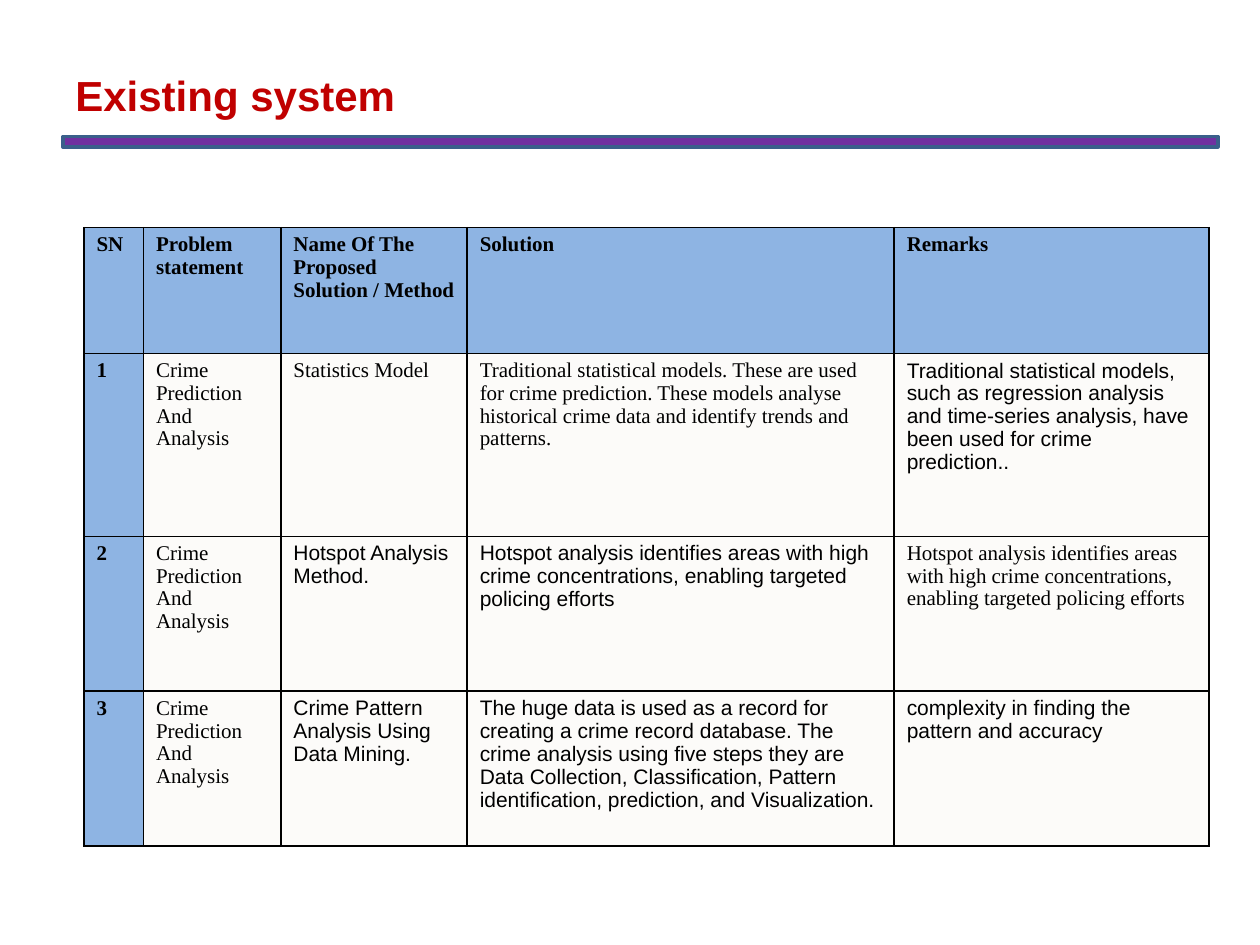
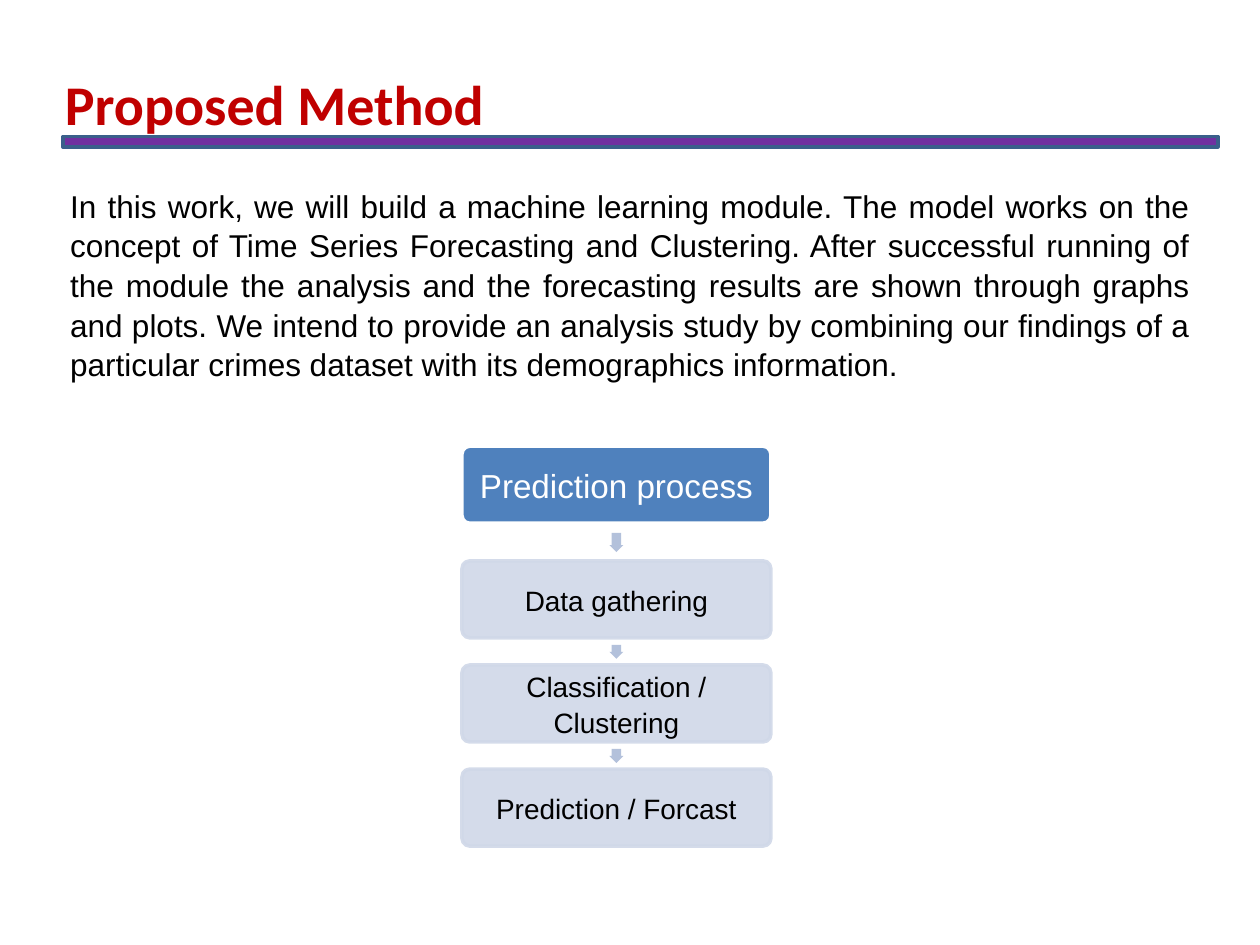
from pptx import Presentation
from pptx.dml.color import RGBColor
from pptx.enum import shapes, text
from pptx.oxml import parse_xml, ns
from pptx.util import Pt

KIND = shapes.MSO_SHAPE
RED, BLACK, WHITE = "C00000", "000000", "FFFFFF"
BLUE, CREAM = "8EB4E3", "FCFBF9"
PALE, STEEL, ARROW = "D0D8E8", "4F81BD", "B3C1DB"
SANS, SERIF = "Arial", "Times New Roman"


def rgb(code):
    return RGBColor.from_string(code)


def put(frame, words, face, size, color, bold=False, **form):
    frame.word_wrap = True
    frame.text = words
    for para in frame.paragraphs:
        for key, val in form.items():
            setattr(para, key, val)
        look = {"name": face, "size": Pt(size), "bold": bold}
        for key, val in look.items():
            setattr(para.runs[0].font, key, val)
        para.runs[0].font.color.rgb = rgb(color)


deck = Presentation()
deck.slide_width, deck.slide_height = Pt(720), Pt(540)

heads = [
    ("Existing system", SANS, 24, (36, 36, 660, 45)),
    ("Proposed Method", "Calibri", 32, (30, 36, 426, 46)),
]
pages = []
for words, face, size, area in heads:
    page = deck.slides.add_slide(deck.slide_layouts[6])
    band = page.shapes.add_shape(KIND.RECTANGLE, *map(Pt, (36, 78, 660, 6)))
    band.shadow.inherit = False
    band.fill.solid()
    band.fill.fore_color.rgb = rgb("7030A0")
    band.line.color.rgb = rgb("3A5F8B")
    band.line.width = Pt(2)
    title = page.shapes.add_textbox(*map(Pt, area))
    put(title.text_frame, words, face, size, RED, True)
    pages.append(page)

first, second = pages

crime = "Crime Prediction\nAnd Analysis"
hot = ("Hotspot analysis identifies areas with high crime concentrations, "
       "enabling targeted policing efforts")
rows = [
    ["SN", "Problem\nstatement", "Name Of The Proposed\nSolution / Method",
     "Solution", "Remarks"],
    ["1", crime, "Statistics Model",
     "Traditional statistical models. These are used for crime prediction. "
     "These models analyse historical crime data and identify trends and\npatterns.",
     "Traditional statistical models, such as regression analysis and "
     "time-series analysis, have been used for crime prediction.."],
    ["2", crime, "Hotspot Analysis\nMethod.", hot, hot],
    ["3", crime, "Crime Pattern Analysis Using Data Mining.",
     "The huge data is used as a record for creating a crime record database. "
     "The crime analysis using five steps they are Data Collection, "
     "Classification, Pattern identification, prediction, and Visualization.",
     "complexity in finding the pattern and accuracy"],
]
sans = {(1, 4), (2, 2), (2, 3), (3, 2), (3, 3), (3, 4)}
wide = [34, 78.5, 106.5, 244, 180]
high = [72, 104.5, 88.5, 88.5]

grid = first.shapes.add_table(
    len(rows), len(wide), *map(Pt, (48, 130, sum(wide), sum(high)))).table
grid.first_row = grid.horz_banding = False
for col, size in zip(grid.columns, wide):
    col.width = Pt(size)
for row, size in zip(grid.rows, high):
    row.height = Pt(size)
for r, row in enumerate(rows):
    for c, words in enumerate(row):
        cell = grid.cell(r, c)
        edge = r == 0 or c == 0
        put(cell.text_frame, words, SANS if (r, c) in sans else SERIF, 12,
            BLACK, edge, line_spacing=0.97)
        props = cell._tc.get_or_add_tcPr()
        for side in "LRTB":
            props.append(parse_xml(
                f'<a:ln{side} {ns.nsdecls("a")} w="12700"><a:solidFill>'
                f'<a:srgbClr val="{BLACK}"/></a:solidFill></a:ln{side}>'))
        cell.fill.solid()
        cell.fill.fore_color.rgb = rgb(BLUE if edge else CREAM)

body = second.shapes.add_textbox(*map(Pt, (33, 102, 654, 117)))
put(body.text_frame,
    "In this work, we will build a machine learning module. The model works on "
    "the concept of Time Series Forecasting and Clustering. After successful "
    "running of the module the analysis and the forecasting results are shown "
    "through graphs and plots. We intend to provide an analysis study by "
    "combining our findings of a particular crimes dataset with its "
    "demographics information.",
    SANS, 18, BLACK, alignment=text.PP_ALIGN.JUSTIFY, line_spacing=1.05)

steps = ["Prediction process", "Data gathering",
         "Classification / Clustering", "Prediction / Forcast"]
for i, words in enumerate(steps):
    lead = i == 0
    top = 255 if lead else 261 + 59.5 * i
    box = second.shapes.add_shape(
        KIND.ROUNDED_RECTANGLE, *map(Pt, (264, top, 176.5, 44)))
    box.adjustments[0] = 0.1
    box.shadow.inherit = False
    box.fill.solid()
    box.fill.fore_color.rgb = rgb(STEEL if lead else PALE)
    box.line.color.rgb = rgb(WHITE if lead else PALE)
    box.line.width = Pt(2)
    if not lead:
        for tint in box._element.spPr.iter(ns.qn("a:srgbClr")):
            tint.append(parse_xml(f'<a:alpha {ns.nsdecls("a")} val="90000"/>'))
    frame = box.text_frame
    for side in ("left", "right", "top", "bottom"):
        setattr(frame, f"margin_{side}", Pt(2))
    frame.vertical_anchor = text.MSO_ANCHOR.MIDDLE
    put(frame, words, SANS, 19 if lead else 16, WHITE if lead else BLACK,
        alignment=text.PP_ALIGN.CENTER, line_spacing=1.05)
    if i < len(steps) - 1:
        gap, tall = (49.5, 11) if lead else (48, 8)
        tip = second.shapes.add_shape(
            KIND.DOWN_ARROW, *map(Pt, (348.25, top + gap, 8, tall)))
        tip.adjustments[0], tip.adjustments[1] = 0.67, 0.5
        tip.shadow.inherit = False
        tip.fill.solid()
        tip.fill.fore_color.rgb = rgb(ARROW)
        tip.line.fill.background()

deck.save("out.pptx")
